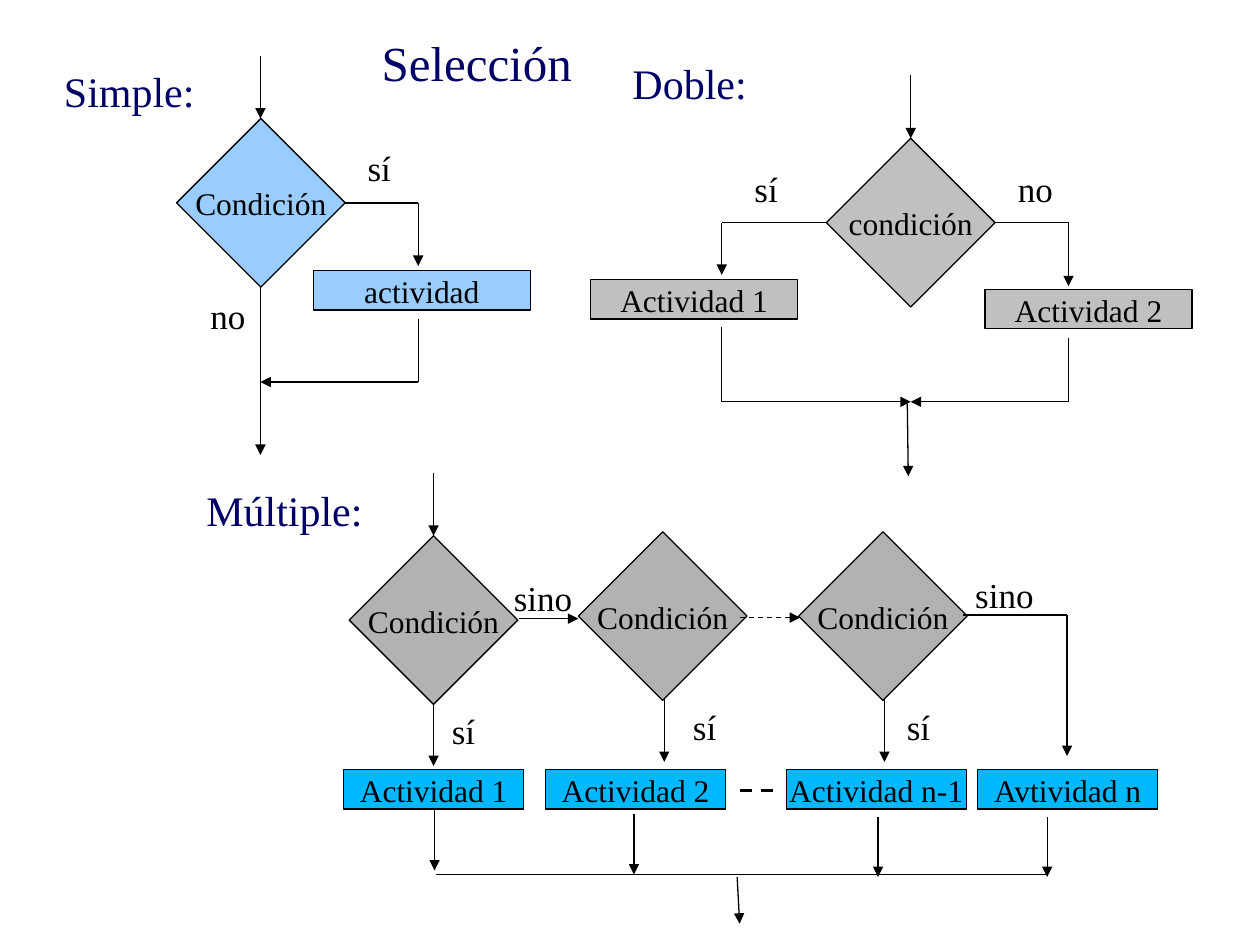
from itertools import pairwise

from pptx import Presentation
from pptx.dml.color import RGBColor
from pptx.enum.dml import MSO_LINE
from pptx.enum.shapes import MSO_CONNECTOR, MSO_SHAPE
from pptx.enum.text import MSO_ANCHOR as Anchor, PP_ALIGN as Align
from pptx.oxml.ns import qn
from pptx.util import Cm, Pt
from lxml.etree import SubElement

BLACK = RGBColor(0x00, 0x00, 0x00)
NAVY = RGBColor(0x00, 0x00, 0x66)
SKY = RGBColor(0x99, 0xCC, 0xFF)
SILVER = RGBColor(0xC0, 0xC0, 0xC0)
GRAY = RGBColor(0xB2, 0xB2, 0xB2)
CYAN = RGBColor(0x00, 0xB8, 0xFF)
DIAMOND = 3.4
BOX_H = 0.79


class FlowSlide:
    """Flowchart slide with its text, line and shape style."""

    font = "Times New Roman"
    line_width = 0.75

    def __init__(self, prs):
        self.s = prs.slides.add_slide(prs.slide_layouts[5])

    def set_text(self, sp, text, size, color, align=Align.LEFT, spacing=1.0, **frame):
        tf = sp.text_frame
        for name, value in frame.items():
            setattr(tf, name, value)
        p = tf.paragraphs[0]
        p.alignment, p.line_spacing = align, spacing
        r = p.add_run()
        r.text = text
        for name, value in {"name": self.font, "size": Pt(size)}.items():
            setattr(r.font, name, value)
        r.font.color.rgb = color

    def title(self, text, x, y, w, h):
        sp = self.s.shapes.title
        for name, value in {"left": x, "top": y, "width": w, "height": h}.items():
            setattr(sp, name, Cm(value))
        self.set_text(sp, text, 28, NAVY, vertical_anchor=Anchor.TOP)

    def textbox(self, text, x, y, w, h, size, color, spacing):
        sp = self.s.shapes.add_textbox(Cm(x), Cm(y), Cm(w), Cm(h))
        self.set_text(sp, text, size, color, spacing=spacing, word_wrap=True)

    def heading(self, text, x, y, w):
        self.textbox(text, x, y, w, 1.27, 24, NAVY, 1.0)

    def label(self, text, x, y, w=1.27):
        self.textbox(text, x, y, w, 1.12, 20, BLACK, 1.02)

    def shape(self, kind, text, x, y, w, h, fill):
        sp = self.s.shapes.add_shape(kind, Cm(x), Cm(y), Cm(w), Cm(h))
        sp.shadow.inherit = False
        sp.fill.solid()
        sp.fill.fore_color.rgb = fill
        sp.line.color.rgb = BLACK
        sp.line.width = Pt(self.line_width)
        margins = dict.fromkeys(
            ("margin_left", "margin_top", "margin_right", "margin_bottom"), 0)
        self.set_text(sp, text, 18, BLACK, Align.CENTER, 1.02, word_wrap=False,
                      vertical_anchor=Anchor.MIDDLE, **margins)
        return sp

    def decision(self, text, x, y, fill):
        self.shape(MSO_SHAPE.DIAMOND, text, x, y, DIAMOND, DIAMOND, fill)

    def activity(self, text, x, y, w, fill):
        sp = self.shape(MSO_SHAPE.ROUNDED_RECTANGLE, text, x, y, w, BOX_H, fill)
        sp.adjustments[0] = 0

    def route(self, *points, arrow=True, dash=None, width=line_width):
        for start, end in pairwise(points):
            sp = self.s.shapes.add_connector(
                MSO_CONNECTOR.STRAIGHT, *map(Cm, start + end))
            sp.line.color.rgb = BLACK
            sp.line.width = Pt(width)
            if dash:
                sp.line.dash_style = dash
            sp_pr = sp._element.spPr
            if arrow and end == points[-1]:
                SubElement(sp_pr.find(qn("a:ln")), qn("a:tailEnd"), type="triangle")
            SubElement(sp_pr, qn("a:effectLst"))


def draw_simple(f):
    f.heading("Simple:", 1.04, 1.19, 3.3)
    f.activity("actividad", 6.32, 5.46, 4.37, SKY)
    f.decision("Condición", 3.56, 2.39, SKY)
    f.route((5.25, 1.12), (5.25, 2.39))
    f.route((5.25, 5.79), (5.25, 9.17))
    f.route((6.96, 4.09), (8.43, 4.09), (8.43, 5.36))
    f.route((8.43, 6.43), (8.43, 7.7), (5.25, 7.7))
    f.label("sí", 7.16, 2.82)
    f.label("no", 3.99, 5.79, 1.47)


def draw_double(f):
    f.heading("Doble:", 12.5, 1.04, 3)
    f.decision("condición", 16.66, 2.79, SILVER)
    f.route((18.36, 1.52), (18.36, 2.79))
    f.route((18.29, 8.13), (18.31, 9.6))
    f.activity("Actividad 1", 11.91, 5.64, 4.17, SILVER)
    f.activity("Actividad 2", 19.86, 5.84, 4.17, SILVER)
    for corner, x, box_top, box_exit in ((16.66, 14.55, 5.54, 6.6),
                                         (20.06, 21.54, 5.77, 6.81)):
        f.route((corner, 4.49), (x, 4.49), (x, box_top))
        f.route((x, box_exit), (x, 8.1), (18.36, 8.1))
    f.label("sí", 14.96, 3.23, 1.47)
    f.label("no", 20.27, 3.23)


def draw_multiple(f):
    f.heading("Múltiple:", 3.91, 9.65, 3.85)
    for x, y, arrow_x, label_x in ((7.04, 10.8, 8.74, 8.86),
                                   (11.66, 10.72, 13.39, 13.72),
                                   (16.1, 10.72, 17.83, 18.03)):
        f.decision("Condición", x, y, GRAY)
        bottom = y + DIAMOND
        f.route((arrow_x, bottom - 0.03), (arrow_x, bottom + 1.24))
        f.label("sí", label_x, bottom - 0.04)
    f.route((8.74, 9.53), (8.74, 10.8))
    f.route((10.46, 12.47), (11.66, 12.47))
    f.route((14.91, 12.45), (16.13, 12.45), dash=MSO_LINE.DASH)
    f.route((19.41, 12.4), (21.51, 12.4), (21.51, 15.24))
    f.label("sino", 10.11, 11.48, 2.16)
    f.label("sino", 19.41, 11.43, 2.16)
    for text, x, arrow_x, top in (("Actividad 1", 6.93, 8.76, 16.33),
                                  ("Actividad 2", 11, 12.78, 16.41),
                                  ("Actividad n-1", 15.85, 17.7, 16.46),
                                  ("Avtividad n", 19.71, 21.11, 16.46)):
        f.activity(text, x, 15.52, 3.63, CYAN)
        f.route((arrow_x, top), (arrow_x, top + 1.22))
    f.route((8.79, 17.63), (21.13, 17.63), arrow=False)
    f.route((14.86, 17.68), (14.91, 18.62))
    f.route((14.91, 15.93), (15.7, 15.93), arrow=False, dash=MSO_LINE.DASH, width=1.75)


def main():
    prs = Presentation()
    prs.slide_width, prs.slide_height = Cm(25.4), Cm(19.05)
    f = FlowSlide(prs)
    f.title("Selección", 7.44, 0.53, 6.65, 1.5)
    for draw in (draw_simple, draw_double, draw_multiple):
        draw(f)
    prs.save("out.pptx")


if __name__ == "__main__":
    main()
